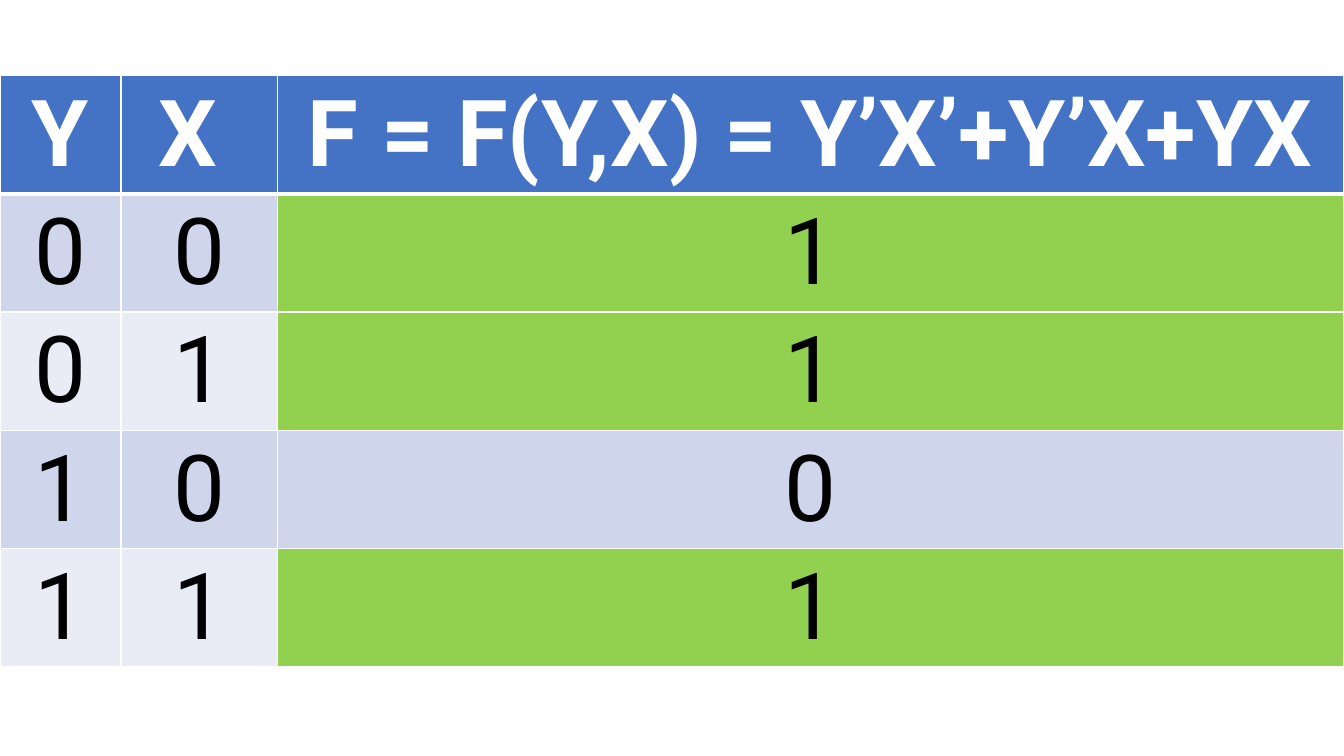
from lxml import etree
from pptx import Presentation
from pptx.dml.color import RGBColor
from pptx.enum import text
from pptx.oxml import ns
from pptx.util import Cm, Pt

WHITE = RGBColor(0xFF, 0xFF, 0xFF)
BLACK = RGBColor(0x00, 0x00, 0x00)
HEADER_BLUE = RGBColor(0x44, 0x72, 0xC4)
BANDS = (RGBColor(0xCF, 0xD5, 0xEA), RGBColor(0xE9, 0xEB, 0xF5))
TRUE_GREEN = RGBColor(0x92, 0xD0, 0x50)

SLIDE_WIDTH, SLIDE_HEIGHT = Cm(33.86), Cm(19.05)
COLUMN_WIDTHS = (Cm(3.05), Cm(3.94), Cm(26.87))
HEADINGS = ("Y", "X ", "F = F(Y,X) = Y’X’+Y’X+YX")


def truth_rows():
    """Return every Y, X pair with the value of F."""
    return [(y, x, int(not y or x)) for y in (0, 1) for x in (0, 1)]


def set_borders(cell, widths):
    """Give the cell white borders; they must precede its fill."""
    properties = cell._tc.get_or_add_tcPr()
    for index, (side, width) in enumerate(widths.items()):
        line = etree.Element(ns.qn(f"a:ln{side}"), w=str(Pt(width)))
        fill = etree.SubElement(line, ns.qn("a:solidFill"))
        etree.SubElement(fill, ns.qn("a:srgbClr"), val=str(WHITE))
        properties.insert(index, line)


def format_cell(cell, value, fill, font_format, borders):
    cell.text = str(value)
    cell.fill.solid()
    cell.fill.fore_color.rgb = fill
    paragraph = cell.text_frame.paragraphs[0]
    paragraph.alignment = text.PP_ALIGN.CENTER
    font = paragraph.runs[0].font
    for name, setting in font_format.items():
        setattr(font, name, setting)
    font.color.rgb = WHITE if font.bold else BLACK
    set_borders(cell, borders)


def add_truth_table(slide, left, top, width, height):
    rows = [HEADINGS, *truth_rows()]
    frame = slide.shapes.add_table(
        len(rows), len(HEADINGS), left, top, width, height)
    table = frame.table
    table.horz_banding = False
    for column, column_width in zip(table.columns, COLUMN_WIDTHS):
        column.width = column_width

    for row_index, values in enumerate(rows):
        is_header = row_index == 0
        font_format = {"name": "Roboto", "size": Pt(66), "bold": is_header}
        # A thicker rule separates the header from the values
        borders = {"L": 1, "R": 1, "T": 3 if row_index == 1 else 1,
                   "B": 3 if is_header else 1}
        for column_index, value in enumerate(values):
            if is_header:
                fill = HEADER_BLUE
            elif column_index == 2 and value == 1:
                fill = TRUE_GREEN
            else:
                fill = BANDS[(row_index - 1) % 2]
            format_cell(table.cell(row_index, column_index), value, fill,
                        font_format, borders)


def main():
    presentation = Presentation()
    presentation.slide_width = SLIDE_WIDTH
    presentation.slide_height = SLIDE_HEIGHT
    slide = presentation.slides.add_slide(presentation.slide_layouts[6])
    add_truth_table(slide, Cm(0), Cm(1.9), SLIDE_WIDTH, Cm(14.9))
    presentation.save("out.pptx")


if __name__ == "__main__":
    main()
